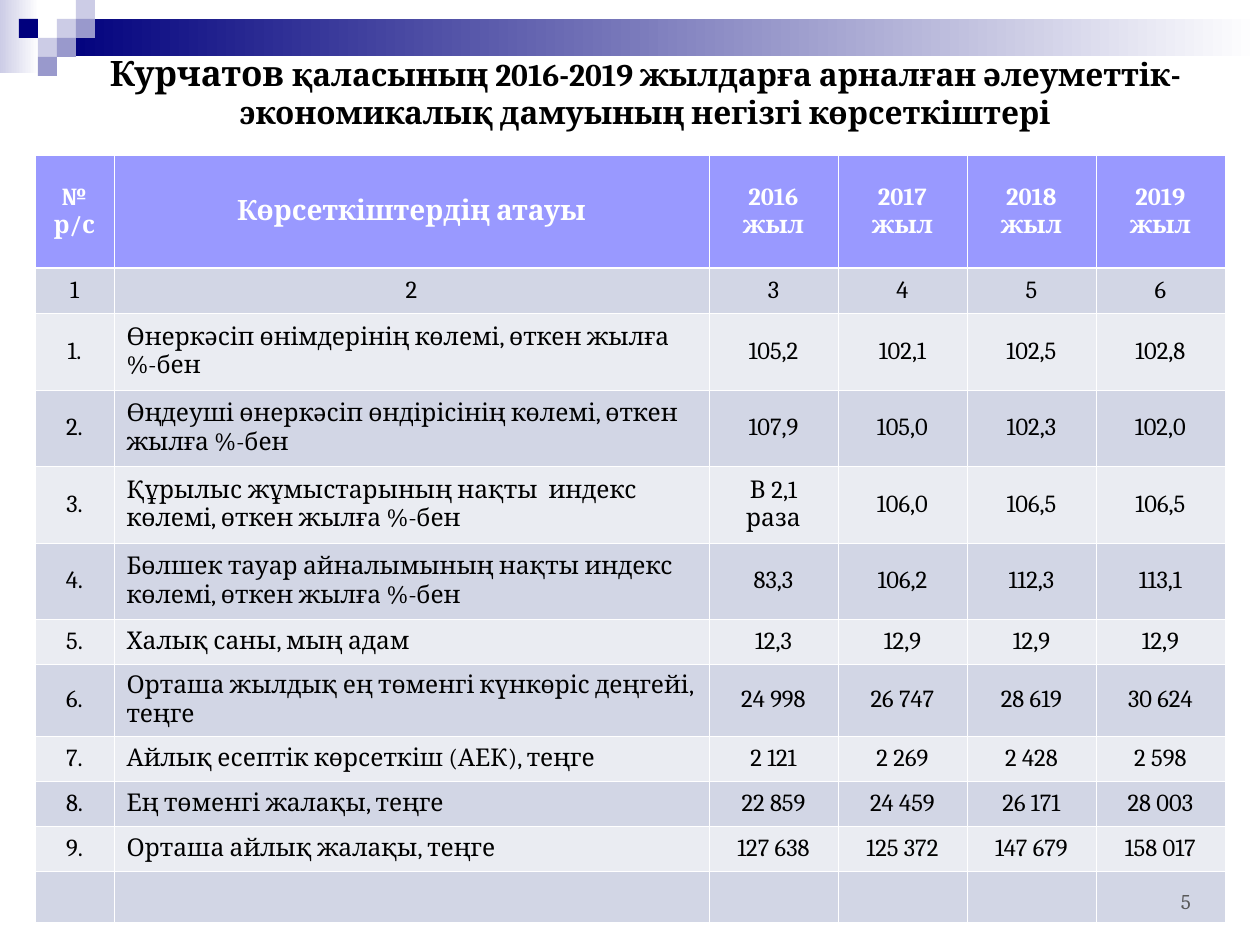
from lxml.etree import SubElement
from pptx import Presentation
from pptx.dml.color import RGBColor
from pptx.enum.shapes import MSO_SHAPE
from pptx.enum.text import MSO_ANCHOR, PP_ALIGN
from pptx.oxml.ns import qn
from pptx.util import Pt

PX = 914400 // 126
FONT = "Cambria"
BLACK = RGBColor(0x00, 0x00, 0x00)
WHITE = RGBColor(0xFF, 0xFF, 0xFF)
GRAY = RGBColor(0x59, 0x59, 0x59)
NAVY = RGBColor(0x00, 0x00, 0x7D)
LILAC = RGBColor(0xCC, 0xCC, 0xE6)
VIOLET = RGBColor(0x99, 0x99, 0xCC)
HEADER = RGBColor(0x99, 0x99, 0xFF)
BAND_DARK = RGBColor(0xD2, 0xD6, 0xE5)
BAND_LIGHT = RGBColor(0xEA, 0xEC, 0xF2)

TITLE_RUNS = [
    ("Курчатов ", 20),
    ("қаласының 2016-2019 жылдарға арналған әлеуметтік-экономикалық "
     "дамуының негізгі көрсеткіштері", 18),
]
SLIDE_NUMBER = "5"
ROWS = [
    ("№ р/с", "Көрсеткіштердің атауы", "2016 жыл", "2017 жыл", "2018 жыл", "2019 жыл"),
    ("1", "2", "3", "4", "5", "6"),
    ("1.", "Өнеркәсіп өнімдерінің көлемі, өткен жылға\n%-бен",
     "105,2", "102,1", "102,5", "102,8"),
    ("2.", "Өңдеуші өнеркәсіп өндірісінің көлемі, өткен жылға %-бен",
     "107,9", "105,0", "102,3", "102,0"),
    ("3.", "Құрылыс жұмыстарының нақты  индекс\nкөлемі, өткен жылға %-бен",
     "В 2,1 раза", "106,0", "106,5", "106,5"),
    ("4.", "Бөлшек тауар айналымының нақты индекс көлемі, өткен жылға %-бен",
     "83,3", "106,2", "112,3", "113,1"),
    ("5.", "Халық саны, мың адам", "12,3", "12,9", "12,9", "12,9"),
    ("6.", "Орташа жылдық ең төменгі күнкөріс деңгейі, теңге",
     "24 998", "26 747", "28 619", "30 624"),
    ("7.", "Айлық есептік көрсеткіш (АЕК), теңге", "2 121", "2 269", "2 428", "2 598"),
    ("8.", "Ең төменгі жалақы, теңге", "22 859", "24 459", "26 171", "28 003"),
    ("9.", "Орташа айлық жалақы, теңге", "127 638", "125 372", "147 679", "158 017"),
    ("", "", "", "", "", ""),
]
COLUMN_WIDTHS = [79, 595] + [129] * 4
ROW_HEIGHTS = [113, 45, 77, 76, 77, 76, 45, 72, 45, 45, 45, 49]
TABLE_LEFT, TABLE_TOP = 35, 155

GRADIENT_BARS = [((0, 0, 39, 73), LILAC), ((57, 19, 1203, 37), NAVY)]
SQUARE = 19
SQUARES = [
    (3, 1, LILAC), (4, 0, LILAC), (4, 1, VIOLET), (2, 2, LILAC),
    (1, 1, NAVY), (3, 2, VIOLET), (2, 3, VIOLET),
]


def scaled(*lengths):
    return [length * PX for length in lengths]


def add_rectangle(slide, box):
    shape = slide.shapes.add_shape(MSO_SHAPE.RECTANGLE, *scaled(*box))
    shape.shadow.inherit = False
    shape.line.fill.background()
    return shape


def add_run(paragraph, text, size, color, bold=False):
    run = paragraph.add_run()
    run.text = text
    run.font.name = FONT
    run.font.size = Pt(size)
    run.font.bold = bold
    run.font.color.rgb = color


def add_text_box(slide, box, left_inset, anchor):
    frame = slide.shapes.add_textbox(*scaled(*box)).text_frame
    frame.word_wrap = True
    frame.margin_left = left_inset * PX
    frame.vertical_anchor = anchor
    return frame.paragraphs[0]


def add_borders(cell, widths):
    properties = cell._tc.get_or_add_tcPr()
    for side, width in zip("LRTB", widths):
        line = SubElement(properties, qn(f"a:ln{side}"), w=str(Pt(width)))
        fill = SubElement(line, qn("a:solidFill"))
        SubElement(fill, qn("a:srgbClr"), val=str(WHITE))


def fill_cell(cell, text, row, column):
    is_header = row == 0
    top = 1.47 if row == 1 else 0.45
    bottom = 1.47 if is_header else 0.45
    add_borders(cell, (0.45, 0.45, top, bottom))
    cell.fill.solid()
    cell.fill.fore_color.rgb = HEADER if is_header else (BAND_LIGHT, BAND_DARK)[row % 2]
    cell.vertical_anchor = MSO_ANCHOR.MIDDLE
    if not text:
        return
    frame = cell.text_frame
    for index, line in enumerate(text.split("\n")):
        paragraph = frame.add_paragraph() if index else frame.paragraphs[0]
        is_name = column == 1 and row > 1
        paragraph.alignment = PP_ALIGN.LEFT if is_name else PP_ALIGN.CENTER
        size = 16 if is_header and column == 1 else 14
        add_run(paragraph, line, size, WHITE if is_header else BLACK, is_header)


def add_indicator_table(slide):
    table = slide.shapes.add_table(
        len(ROWS), len(COLUMN_WIDTHS),
        *scaled(TABLE_LEFT, TABLE_TOP, sum(COLUMN_WIDTHS), sum(ROW_HEIGHTS)),
    ).table
    table.horz_banding = False
    for column, width in zip(table.columns, COLUMN_WIDTHS):
        column.width = width * PX
    for row, height in zip(table.rows, ROW_HEIGHTS):
        row.height = height * PX
    for row, texts in enumerate(ROWS):
        for column, text in enumerate(texts):
            fill_cell(table.cell(row, column), text, row, column)


def main():
    presentation = Presentation()
    presentation.slide_width, presentation.slide_height = scaled(1260, 945)
    slide = presentation.slides.add_slide(presentation.slide_layouts[6])

    for box, color in GRADIENT_BARS:
        fill = add_rectangle(slide, box).fill
        fill.gradient()
        fill.gradient_angle = 0
        for stop, stop_color in zip(fill.gradient_stops, (color, WHITE)):
            stop.color.rgb = stop_color
    for column, row, color in SQUARES:
        shape = add_rectangle(slide, (column * SQUARE, row * SQUARE, SQUARE, SQUARE))
        shape.fill.solid()
        shape.fill.fore_color.rgb = color

    add_indicator_table(slide)

    title = add_text_box(slide, (74, 45, 1142, 93), 13, MSO_ANCHOR.TOP)
    title.alignment = PP_ALIGN.CENTER
    for text, size in TITLE_RUNS:
        add_run(title, text, size, BLACK, True)
    number = add_text_box(slide, (1177, 876, 77, 50), 4, MSO_ANCHOR.MIDDLE)
    add_run(number, SLIDE_NUMBER, 12, GRAY)

    presentation.save("out.pptx")


if __name__ == "__main__":
    main()
